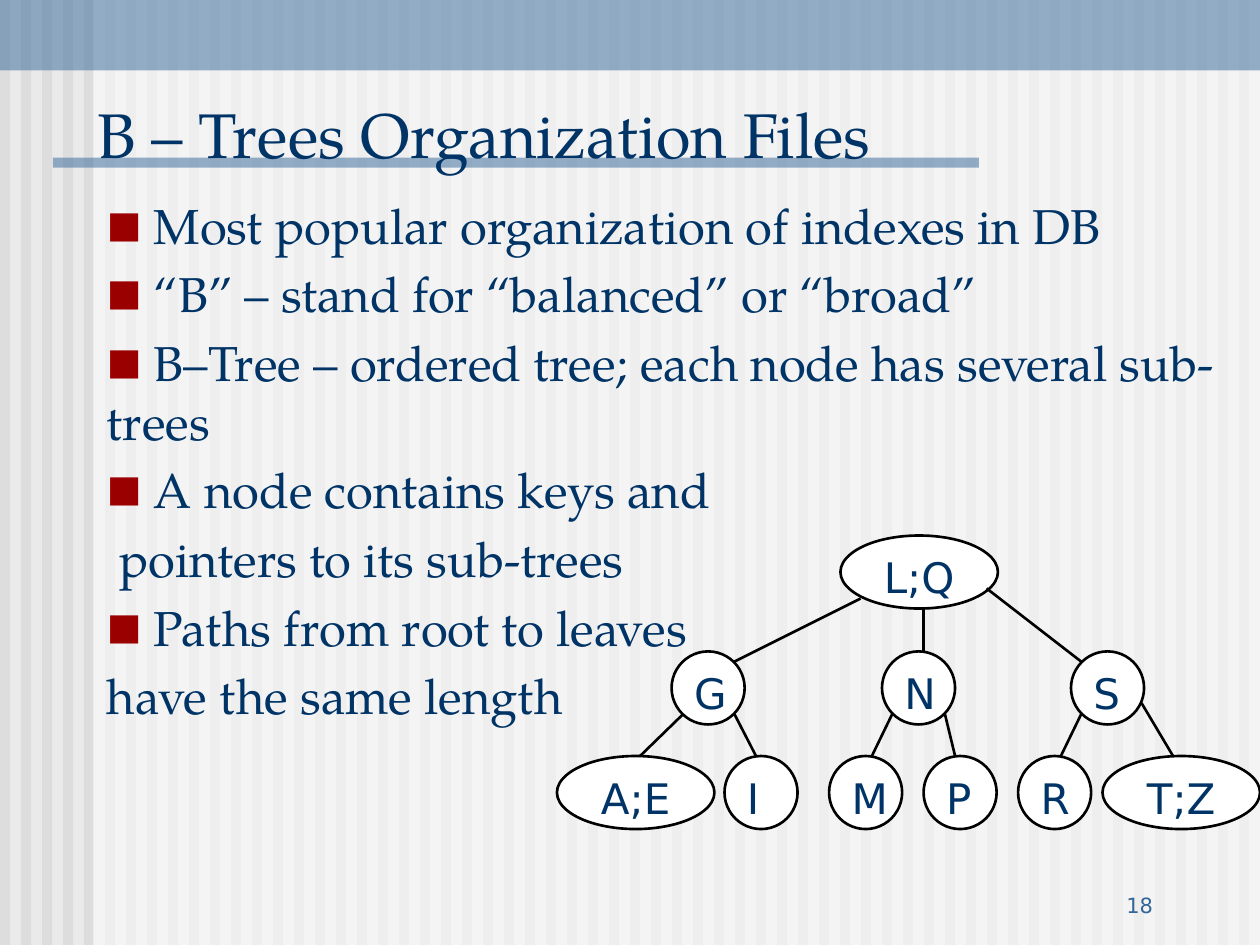
from dataclasses import dataclass

from lxml import etree
from pptx import Presentation
from pptx.dml.color import RGBColor
from pptx.enum.shapes import MSO_CONNECTOR, MSO_SHAPE
from pptx.enum.text import MSO_ANCHOR, PP_ALIGN
from pptx.oxml.ns import qn
from pptx.util import Inches, Pt

RECT, OVAL = MSO_SHAPE.RECTANGLE, MSO_SHAPE.OVAL
LINE = MSO_CONNECTOR.STRAIGHT
TOP, BOTTOM = MSO_ANCHOR.TOP, MSO_ANCHOR.BOTTOM
LEFT, MID, RIGHT = PP_ALIGN.LEFT, PP_ALIGN.CENTER, PP_ALIGN.RIGHT


@dataclass(frozen=True)
class Theme:
    serif: str = "TeX Gyre Pagella"
    sans: str = "DejaVu Sans"
    back: str = "EAEAEA"
    stripe: str = "DDDDDD"
    white: str = "FFFFFF"
    blue: str = "336699"
    ink: str = "003366"
    mark: str = "9A0000"
    edge: str = "000000"
    title: int = 36
    body: int = 28
    label: int = 24
    small: int = 12
    gap: float = 5.6
    stroke: float = 1.5


class Deck:
    def __init__(self, theme):
        self.theme = theme
        self.prs = Presentation()
        self.prs.slide_width, self.prs.slide_height = Inches(10), Inches(7.5)
        self.slide = self.prs.slides.add_slide(self.prs.slide_layouts[5])
        self.shapes = self.slide.shapes
        fill = self.slide.background.fill
        fill.solid()
        fill.fore_color.rgb = RGBColor.from_string(theme.back)

    def shape(self, kind, box, color, alpha=None, edge=None):
        item = self.shapes.add_shape(kind, *map(Inches, box))
        item.shadow.inherit = False
        item.fill.solid()
        item.fill.fore_color.rgb = RGBColor.from_string(color)
        if alpha:
            tint = item.fill._xPr.find(".//" + qn("a:srgbClr"))
            etree.SubElement(tint, qn("a:alpha"), val=str(alpha * 1000))
        if edge:
            item.line.color.rgb = RGBColor.from_string(edge)
            item.line.width = Pt(self.theme.stroke)
        else:
            item.line.fill.background()

    def run(self, para, text, size, font, color):
        run = para.add_run()
        run.text = text
        run.font.size = Pt(size)
        run.font.name = font
        run.font.color.rgb = RGBColor.from_string(color)

    def frame(self, box, anchor=TOP):
        frame = self.shapes.add_textbox(*map(Inches, box)).text_frame
        frame.word_wrap = True
        frame.vertical_anchor = anchor
        return frame

    def title(self, text, box):
        item = self.shapes.title
        item.left, item.top, item.width, item.height = map(Inches, box)
        self.shapes._spTree.append(item._element)
        item.text_frame.vertical_anchor = BOTTOM
        para = item.text_frame.paragraphs[0]
        para.alignment = LEFT
        self.run(para, text, self.theme.title, self.theme.serif, self.theme.ink)

    def text(self, text, box, size, color, align=LEFT, anchor=TOP):
        para = self.frame(box, anchor).paragraphs[0]
        para.alignment = align
        self.run(para, text, size, self.theme.sans, color)

    def bullet(self, para):
        props = para._p.get_or_add_pPr()
        tint = etree.SubElement(props, qn("a:buClr"))
        etree.SubElement(tint, qn("a:srgbClr"), val=self.theme.mark)
        etree.SubElement(props, qn("a:buSzPct"), val="75000")
        etree.SubElement(props, qn("a:buFont"), typeface=self.theme.sans)
        etree.SubElement(props, qn("a:buChar"), char="■")

    def points(self, rows, box):
        frame = self.frame(box)
        for i, (text, marked) in enumerate(rows):
            para = frame.add_paragraph() if i else frame.paragraphs[0]
            if i:
                para.space_before = Pt(self.theme.gap)
            if marked:
                self.bullet(para)
            self.run(para, text, self.theme.body, self.theme.serif, self.theme.ink)

    def node(self, text, left, top):
        wide = len(text) > 1
        width, inset, align = (1.25, 0.18, MID) if wide else (0.58, 0.08, LEFT)
        theme = self.theme
        self.shape(OVAL, (left, top, width, 0.58), theme.white, edge=theme.edge)
        box = (left + inset, top + 0.08, width - 2 * inset, 0.5)
        self.text(text, box, theme.label, theme.ink, align)

    def link(self, *ends):
        line = self.shapes.add_connector(LINE, *map(Inches, ends))
        line.line.color.rgb = RGBColor.from_string(self.theme.edge)
        line.line.width = Pt(self.theme.stroke)
        etree.SubElement(line._element.spPr, qn("a:effectLst"))


POINTS = [
    (" Most popular organization of indexes in DB", True),
    (" “B” – stand for “balanced” or “broad”", True),
    (" B–Tree – ordered tree; each node has several sub-trees", True),
    (" A node contains keys and", True),
    (" pointers to its sub-trees", False),
    (" Paths from root to leaves", True),
    ("have the same length", False),
]
LEVELS = [
    (4.25, [("L;Q", 6.67)]),
    (5.17, [("G", 5.33), ("N", 7), ("S", 8.5)]),
    (6, [("A;E", 4.42), ("I", 5.75), ("M", 6.58), ("P", 7.33),
         ("R", 8.08), ("T;Z", 8.75)]),
]
LINKS = [
    (6.83, 4.75, 5.83, 5.25), (7.33, 4.83, 7.33, 5.17), (7.83, 4.67, 8.58, 5.25),
    (5.42, 5.67, 5.08, 6), (5.83, 5.67, 6, 6),
    (7.08, 5.67, 6.92, 6), (7.5, 5.67, 7.58, 6),
    (8.58, 5.67, 8.42, 6), (9.06, 5.58, 9.31, 6),
]


def main():
    theme = Theme()
    deck = Deck(theme)
    for i in range(60):
        deck.shape(RECT, (i / 6, 0, 0.08, 7.5), theme.stripe)
    deck.shape(RECT, (0.74, 0, 9.26, 7.5), theme.white, 50)
    deck.shape(RECT, (0, 0, 10, 0.56), theme.blue, 50)
    deck.shape(RECT, (0.42, 1.25, 7.35, 0.08), theme.blue, 50)
    deck.text("18", (7.17, 6.83, 2.08, 0.5), theme.small, theme.blue, RIGHT, BOTTOM)
    deck.title("B – Trees Organization Files", (0.67, 0.58, 8.4, 0.83))
    deck.points(POINTS, (0.75, 1.5, 9.25, 5.17))
    for top, nodes in LEVELS:
        for text, left in nodes:
            deck.node(text, left, top)
    for ends in LINKS:
        deck.link(*ends)
    deck.prs.save("out.pptx")


if __name__ == "__main__":
    main()
